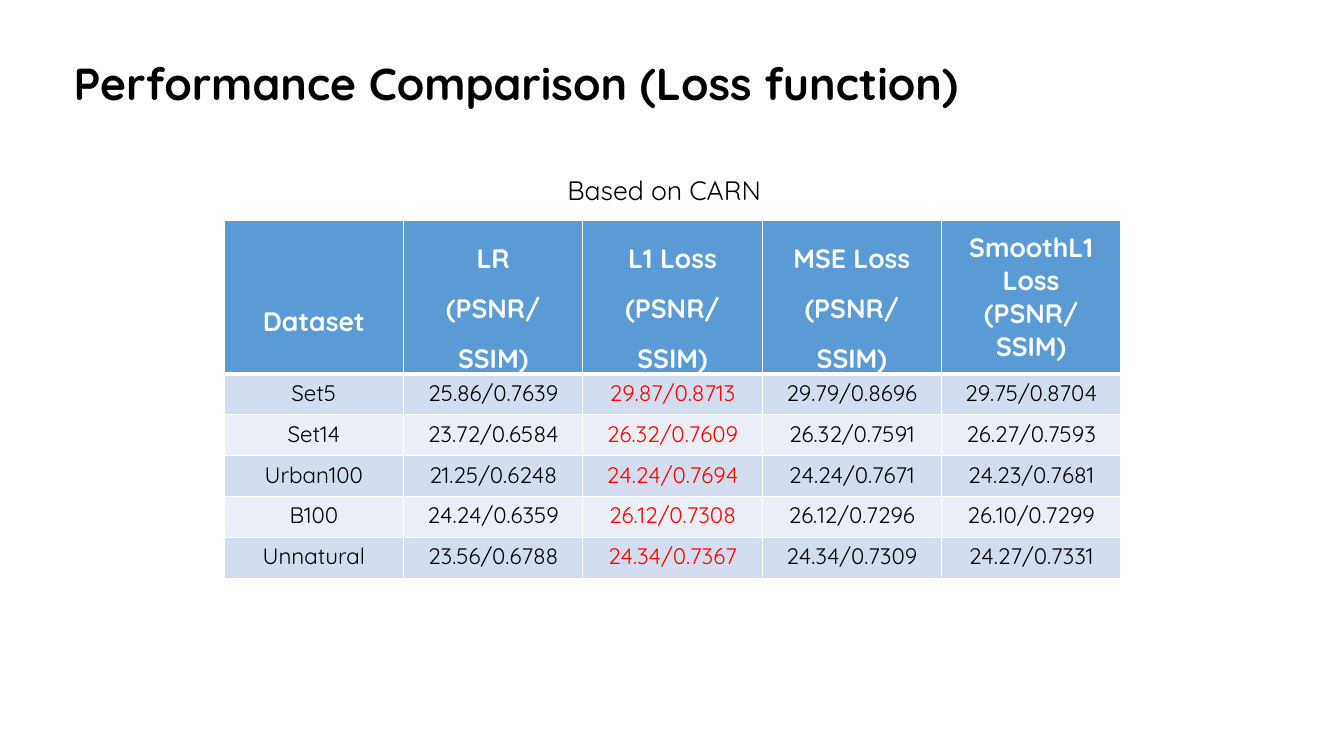
from lxml.etree import SubElement
from pptx import Presentation
from pptx.dml.color import RGBColor
from pptx.enum.text import MSO_ANCHOR, MSO_AUTO_SIZE, PP_ALIGN
from pptx.oxml.ns import qn
from pptx.util import Cm, Pt

FONT = "Quicksand"
BLACK, WHITE, RED = "000000", "FFFFFF", "FF0000"
HEADER_FILL = "5B9BD5"
BAND_FILLS = ("D2DEEF", "EAEFF7")
BEST_COLUMN = 2
MEASURE = "(PSNR/SSIM)"
HEADERS = [
    (["Dataset"], 2.5),
    (["LR", MEASURE], 1.5),
    (["L1 Loss", MEASURE], 1.5),
    (["MSE Loss", MEASURE], 1.5),
    (["SmoothL1 Loss", MEASURE], 1.0),
]
RESULTS = [
    ["Set5", "25.86/0.7639", "29.87/0.8713", "29.79/0.8696", "29.75/0.8704"],
    ["Set14", "23.72/0.6584", "26.32/0.7609", "26.32/0.7591", "26.27/0.7593"],
    ["Urban100", "21.25/0.6248", "24.24/0.7694", "24.24/0.7671", "24.23/0.7681"],
    ["B100", "24.24/0.6359", "26.12/0.7308", "26.12/0.7296", "26.10/0.7299"],
    ["Unnatural", "23.56/0.6788", "24.34/0.7367", "24.34/0.7309", "24.27/0.7331"],
]
COLUMN_WIDTH, ROW_HEIGHT = Cm(4.52), Cm(1.03)


def color(value):
    return RGBColor.from_string(value)


def write(frame, lines, size, ink=BLACK, bold=False, **paragraph_format):
    """Fill a text frame with one paragraph for each line."""
    for index, line in enumerate(lines):
        para = frame.add_paragraph() if index else frame.paragraphs[0]
        for name, value in paragraph_format.items():
            setattr(para, name, value)
        span = para.add_run()
        span.text = line
        font_format = {"name": FONT, "size": Pt(size), "bold": bold}
        for name, value in font_format.items():
            setattr(span.font, name, value)
        span.font.color.rgb = color(ink)


def place(box, left, top, width, height):
    position = {"left": left, "top": top, "width": width, "height": height}
    for name, value in position.items():
        setattr(box, name, Cm(value))


def format_frame(frame):
    settings = {
        "word_wrap": True,
        "auto_size": MSO_AUTO_SIZE.SHAPE_TO_FIT_TEXT,
        "vertical_anchor": MSO_ANCHOR.TOP,
    }
    for name, value in settings.items():
        setattr(frame, name, value)


def add_title(page, text):
    title = page.shapes.title
    place(title, 1.6, 1.27, 26.6, 1.62)
    format_frame(title.text_frame)
    write(title.text_frame, [text], 32, bold=True, alignment=PP_ALIGN.LEFT)


def add_caption(page, text):
    box = page.shapes.add_textbox(Cm(14.05), Cm(4.27), Cm(5.74), Cm(1.07))
    format_frame(box.text_frame)
    write(box.text_frame, [text], 19)


def set_borders(cell, top=1, bottom=1):
    """Draw white cell borders, with widths in points."""
    properties = cell._tc.get_or_add_tcPr()
    widths = {"a:lnL": 1, "a:lnR": 1, "a:lnT": top, "a:lnB": bottom}
    for tag, width in widths.items():
        line = SubElement(properties, qn(tag), w=str(Pt(width)))
        fill = SubElement(line, qn("a:solidFill"))
        SubElement(fill, qn("a:srgbClr"), val=WHITE)


def fill_cell(cell, value):
    cell.fill.solid()
    cell.fill.fore_color.rgb = color(value)


def add_results_table(page):
    frame = page.shapes.add_table(
        len(RESULTS) + 1, len(HEADERS), Cm(5.65), Cm(5.55),
        COLUMN_WIDTH * len(HEADERS), ROW_HEIGHT * (len(RESULTS) + 1))
    table = frame.table
    for column, (lines, spacing) in enumerate(HEADERS):
        cell = table.cell(0, column)
        cell.vertical_anchor = MSO_ANCHOR.MIDDLE
        set_borders(cell, bottom=3)
        fill_cell(cell, HEADER_FILL)
        write(cell.text_frame, lines, 19, WHITE, True,
              alignment=PP_ALIGN.CENTER, line_spacing=spacing)
    for row, values in enumerate(RESULTS, start=1):
        for column, value in enumerate(values):
            cell = table.cell(row, column)
            set_borders(cell, top=3 if row == 1 else 1)
            fill_cell(cell, BAND_FILLS[(row - 1) % 2])
            write(cell.text_frame, [value], 16,
                  RED if column == BEST_COLUMN else BLACK,
                  alignment=PP_ALIGN.CENTER)


def main():
    deck = Presentation()
    deck.slide_width, deck.slide_height = Cm(33.87), Cm(19.05)
    page = deck.slides.add_slide(deck.slide_layouts.get_by_name("Title Only"))
    add_title(page, "Performance Comparison (Loss function)")
    add_results_table(page)
    add_caption(page, "Based on CARN")
    deck.save("out.pptx")


if __name__ == "__main__":
    main()
